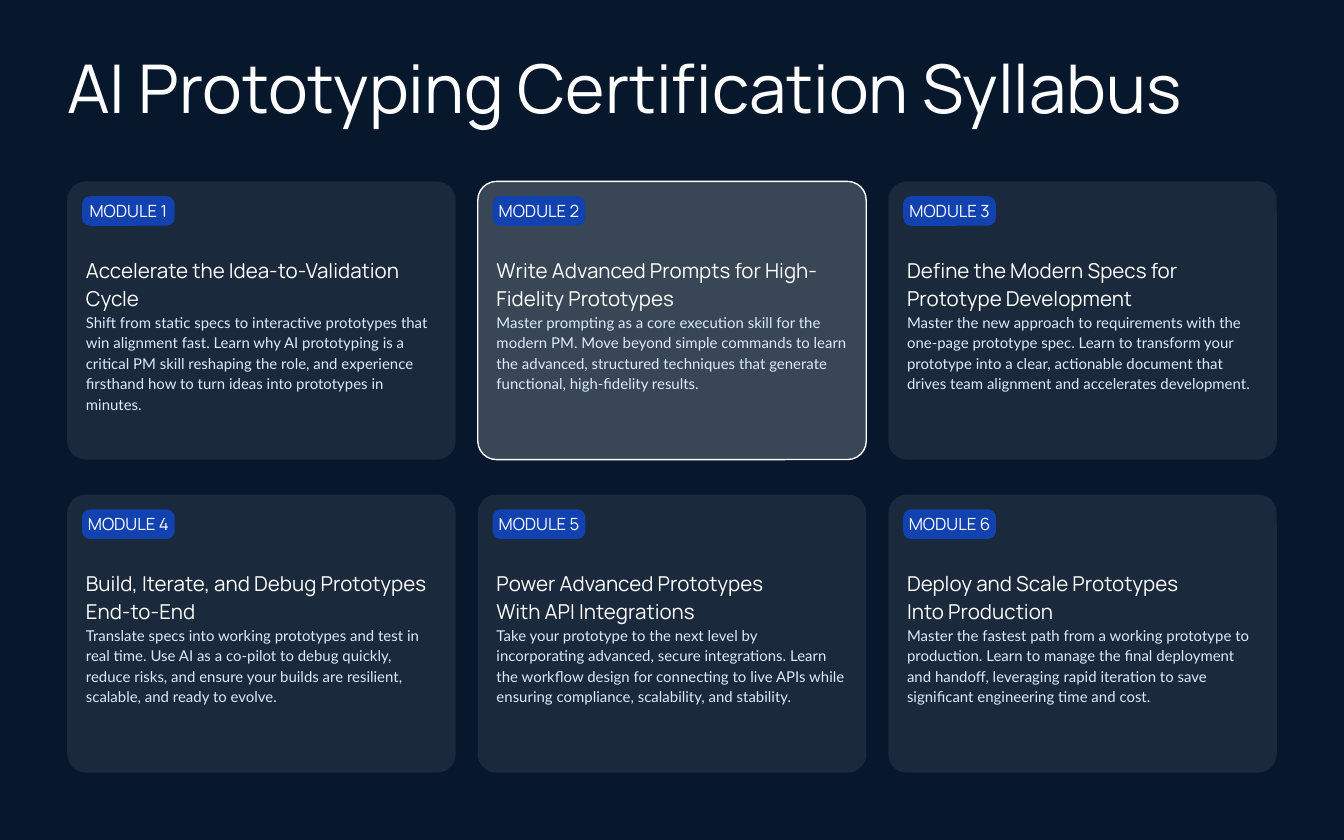
from lxml import etree
from pptx import Presentation
from pptx.dml.color import RGBColor
from pptx.enum.shapes import MSO_SHAPE
from pptx.enum.text import MSO_ANCHOR, PP_ALIGN
from pptx.oxml.ns import qn
from pptx.util import Inches, Pt

ROUNDED = MSO_SHAPE.ROUNDED_RECTANGLE
TOP = MSO_ANCHOR.TOP
MIDDLE = MSO_ANCHOR.MIDDLE
LEFT = PP_ALIGN.LEFT
CENTER = PP_ALIGN.CENTER

NAVY = "07182C"
WHITE = "FFFFFF"
BLUE = "1241B0"
PALE_BLUE = "DBEAFE"
HEADING_FONT = "Manrope"
BODY_FONT = "Lato"

MARGIN = 0.5
GRID_TOP = 1.35
GRID_WIDTH, GRID_HEIGHT = 9, 4.4
CARD_WIDTH, CARD_HEIGHT = 2.89, 2.07
COLUMNS, ROWS = 3, 2
HIGHLIGHTED_MODULE = 2

MODULES = [
    (
        "Accelerate the Idea-to-Validation Cycle",
        "Shift from static specs to interactive prototypes that win alignment fast. "
        "Learn why AI prototyping is a critical PM skill reshaping the role, and "
        "experience firsthand how to turn ideas into prototypes in minutes.",
    ),
    (
        "Write Advanced Prompts for High-Fidelity Prototypes",
        "Master prompting as a core execution skill for the modern PM. Move beyond "
        "simple commands to learn the advanced, structured techniques that generate "
        "functional, high-fidelity results.",
    ),
    (
        "Define the Modern Specs for Prototype Development",
        "Master the new approach to requirements with the one-page prototype spec. "
        "Learn to transform your prototype into a clear, actionable document that "
        "drives team alignment and accelerates development.",
    ),
    (
        "Build, Iterate, and Debug Prototypes End-to-End",
        "Translate specs into working prototypes and test in real time. Use AI as a "
        "co-pilot to debug quickly, reduce risks, and ensure your builds are "
        "resilient, scalable, and ready to evolve.",
    ),
    (
        "Power Advanced Prototypes\nWith API Integrations",
        "Take your prototype to the next level by incorporating advanced, secure "
        "integrations. Learn the workflow design for connecting to live APIs while "
        "ensuring compliance, scalability, and stability.",
    ),
    (
        "Deploy and Scale Prototypes\nInto Production",
        "Master the fastest path from a working prototype to production. Learn to "
        "manage the final deployment and handoff, leveraging rapid iteration to save "
        "significant engineering time and cost.",
    ),
]


def color(value):
    return RGBColor.from_string(value)


def set_fill(shape, value, opacity=100):
    shape.fill.solid()
    shape.fill.fore_color.rgb = color(value)
    if opacity < 100:
        fill_color = shape.fill._xPr.find(qn("a:solidFill"))[0]
        alpha = etree.SubElement(fill_color, qn("a:alpha"))
        alpha.set("val", str(opacity * 1000))


def set_frame(shape, anchor, left=0, top=0, right=0, bottom=0):
    frame = shape.text_frame
    frame.word_wrap = True
    frame.vertical_anchor = anchor
    frame.margin_left, frame.margin_top = Inches(left), Inches(top)
    frame.margin_right, frame.margin_bottom = Inches(right), Inches(bottom)
    return frame


def write(paragraph, text, size, font, value, spacing=1.0, alignment=LEFT):
    paragraph.alignment = alignment
    paragraph.line_spacing = spacing
    for index, line in enumerate(text.split("\n")):
        if index:
            paragraph.add_line_break()
        run = paragraph.add_run()
        run.text = line
        run.font.size = Pt(size)
        run.font.name = font
        run.font.color.rgb = color(value)


def add_rounded_box(slide, left, top, width, height, adjustment):
    box = slide.shapes.add_shape(
        ROUNDED, Inches(left), Inches(top), Inches(width), Inches(height)
    )
    box.adjustments[0] = adjustment
    box.shadow.inherit = False
    box.line.fill.background()
    return box


def add_title(slide, left, top, width, height):
    title = slide.shapes.add_textbox(
        Inches(left), Inches(top), Inches(width), Inches(height)
    )
    frame = set_frame(title, MIDDLE)
    write(frame.paragraphs[0], "AI Prototyping Certification Syllabus",
          36, HEADING_FONT, WHITE, 0.8)


def add_module_card(slide, left, top, width, height, number, heading, summary):
    highlighted = number == HIGHLIGHTED_MODULE
    card = add_rounded_box(slide, left, top, width, height, 0.067)
    set_fill(card, WHITE, 20 if highlighted else 8)
    if highlighted:
        card.line.color.rgb = color(WHITE)
        card.line.width = Pt(0.75)
    frame = set_frame(card, TOP, 0.1, 0.5, 0.1, 0.1)
    write(frame.paragraphs[0], heading, 11, HEADING_FONT, WHITE, 1.15)
    write(frame.add_paragraph(), summary, 8, BODY_FONT, PALE_BLUE, 1.15)

    badge = add_rounded_box(slide, left + 0.11, top + 0.11, 0.69, 0.22, 0.269)
    set_fill(badge, BLUE)
    frame = set_frame(badge, MIDDLE)
    write(frame.paragraphs[0], f"MODULE {number}", 9, HEADING_FONT, WHITE,
          alignment=CENTER)


def add_module_grid(slide, left, top, width, height):
    column_step = (width - CARD_WIDTH) / (COLUMNS - 1)
    row_step = (height - CARD_HEIGHT) / (ROWS - 1)
    for index, (heading, summary) in enumerate(MODULES):
        row, column = divmod(index, COLUMNS)
        add_module_card(slide, left + column * column_step, top + row * row_step,
                        CARD_WIDTH, CARD_HEIGHT, index + 1, heading, summary)


def main():
    presentation = Presentation()
    presentation.slide_width = Inches(10)
    presentation.slide_height = Inches(6.25)
    slide = presentation.slides.add_slide(presentation.slide_layouts[6])
    slide.background.fill.solid()
    slide.background.fill.fore_color.rgb = color(NAVY)
    add_title(slide, MARGIN, 0.5, GRID_WIDTH, 0.4)
    add_module_grid(slide, MARGIN, GRID_TOP, GRID_WIDTH, GRID_HEIGHT)
    presentation.save("out.pptx")


if __name__ == "__main__":
    main()
